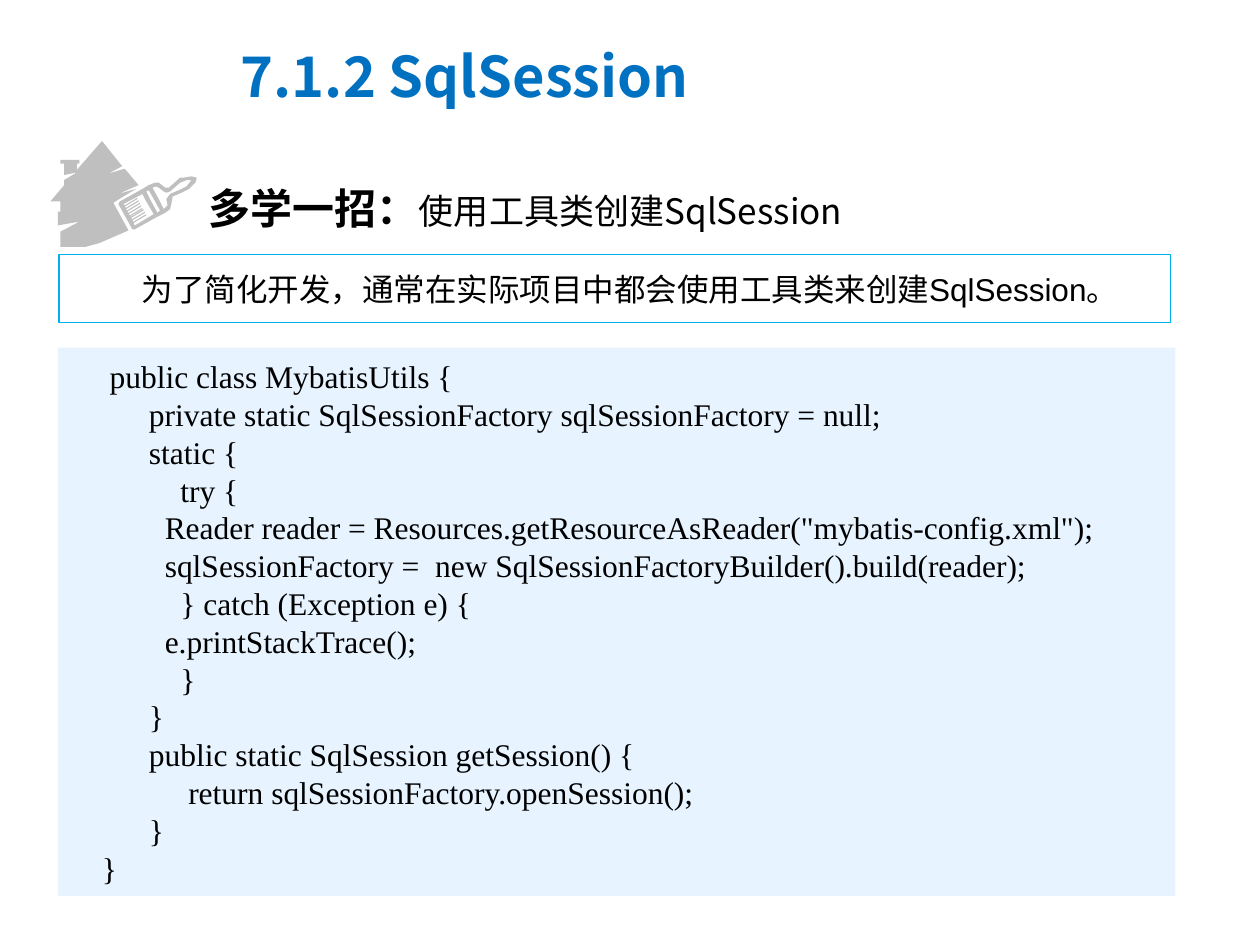
from pptx import Presentation
from pptx.dml.color import RGBColor
from pptx.enum.shapes import MSO_SHAPE as Shape
from pptx.enum.text import MSO_ANCHOR as Anchor, MSO_AUTO_SIZE as AutoSize, PP_ALIGN as Align
from pptx.util import Pt

BLACK = RGBColor(0x00, 0x00, 0x00)
WHITE = RGBColor(0xFF, 0xFF, 0xFF)
TITLE_BLUE = RGBColor(0x00, 0x70, 0xC0)
BORDER_BLUE = RGBColor(0x00, 0xB0, 0xF0)
CODE_BLUE = RGBColor(0xE7, 0xF4, 0xFF)
ICON_GREY = RGBColor(0xBF, 0xBF, 0xBF)
SANS = "Noto Sans CJK SC"

CODE = """\
     public class MybatisUtils {
          private static SqlSessionFactory sqlSessionFactory = null;
          static {
              try {
\t    Reader reader = Resources.getResourceAsReader("mybatis-config.xml");
\t    sqlSessionFactory =  new SqlSessionFactoryBuilder().build(reader);
              } catch (Exception e) {
\t    e.printStackTrace();
              }
          }
          public static SqlSession getSession() {
               return sqlSessionFactory.openSession();
          }
    }"""

# Icon outlines on a grid of 0.72 pt units
ICON_UNIT = Pt(0.72)
HOUSE = [
    (28, 84), (39, 81), (62, 71), (50, 49), (68, 38), (54, 42), (70, 35), (59, 22),
    (46, 26), (57, 20), (41, 0), (21, 23), (21, 18), (23, 18), (23, 15), (8, 15),
    (8, 18), (11, 18), (11, 27), (21, 25), (11, 31), (11, 35), (0, 48), (8, 48),
    (8, 56), (6, 56), (6, 67), (23, 64), (8, 72), (8, 84),
]
BRISTLES = [
    (x - i, y - 1.8 * i)
    for i in range(8)
    for x, y in ((66, 65), (76, 59), (76, 58), (66, 64))
]
BRUSH = [
    (116, 29), (112, 28), (106, 29), (103, 29), (103, 33), (108, 31), (112, 31),
    (108, 36), (104, 38), (95, 42), (92, 46), (93, 51), (90, 54), (86, 46), (82, 46),
    (87, 55), (85, 57), (79, 46), (75, 46), (82, 58), (67, 67),
    *BRISTLES,
    (58, 50), (73, 42), (75, 46), (79, 46), (76, 40), (78, 39), (82, 46), (86, 46),
    (81, 37), (84, 36), (86, 37), (90, 40), (92, 41), (95, 40), (103, 33), (103, 29),
    (94, 37), (91, 37), (86, 33), (83, 33), (78, 35), (73, 38), (55, 48), (54, 50),
    (65, 70), (67, 70), (85, 60), (91, 57), (95, 54), (96, 50), (97, 44), (104, 41),
    (110, 38), (115, 33), (116, 30),
]


def add_text(paragraph, text, *, size, font=SANS, color=BLACK, bold=False):
    run = paragraph.add_run()
    run.text = text
    run.font.size = Pt(size)
    run.font.name = font
    run.font.bold = bold
    run.font.color.rgb = color
    east_asian = run.font._element.makeelement(
        "{http://schemas.openxmlformats.org/drawingml/2006/main}ea", {"typeface": SANS})
    run.font._element.find("{*}latin").addnext(east_asian)


def set_frame(shape, anchor):
    frame = shape.text_frame
    frame.word_wrap = True
    frame.auto_size = AutoSize.NONE
    frame.vertical_anchor = anchor
    frame.paragraphs[0].alignment = Align.LEFT
    return frame


def add_panel(slide, left, top, width, height, fill, line=None):
    panel = slide.shapes.add_shape(
        Shape.RECTANGLE, Pt(left), Pt(top), Pt(width), Pt(height))
    panel.shadow.inherit = False
    panel.fill.solid()
    panel.fill.fore_color.rgb = fill
    if line is None:
        panel.line.fill.background()
    else:
        panel.line.color.rgb = line
        panel.line.width = Pt(0.75)
    return set_frame(panel, Anchor.MIDDLE)


def place_title(slide, left, top, width, height):
    title = slide.shapes.title
    title.left, title.top, title.width, title.height = map(Pt, (left, top, width, height))
    paragraph = set_frame(title, Anchor.TOP).paragraphs[0]
    paragraph.line_spacing = 0.9
    add_text(paragraph, "7.1.2 SqlSession", size=32, color=TITLE_BLUE, bold=True)


def add_icon(slide, left, top):
    for outline in (HOUSE, BRUSH):
        builder = slide.shapes.build_freeform(*outline[0], scale=ICON_UNIT)
        builder.add_line_segments(outline[1:], close=True)
        part = builder.convert_to_shape(Pt(left), Pt(top))
        part.shadow.inherit = False
        part.fill.solid()
        part.fill.fore_color.rgb = ICON_GREY
        part.line.fill.background()


def add_tip_heading(slide, left, top, width, height):
    add_icon(slide, left, top)
    text_left = 83.5
    heading = slide.shapes.add_textbox(
        Pt(left + text_left), Pt(top + 5.8), Pt(width - text_left), Pt(height))
    paragraph = set_frame(heading, Anchor.TOP).paragraphs[0]
    paragraph.line_spacing = 1.5
    add_text(paragraph, "多学一招：", size=24, bold=True)
    add_text(paragraph, "使用工具类创建SqlSession", size=20)


def add_explanation(slide, left, top, width, height):
    frame = add_panel(slide, left, top, width, height, WHITE, BORDER_BLUE)
    paragraph = frame.paragraphs[0]
    paragraph._p.get_or_add_pPr().set("indent", str(Pt(40)))
    add_text(paragraph, "为了简化开发，通常在实际项目中都会使用工具类来创建SqlSession。",
             size=18, font="Arial")


def add_code(slide, left, top, width, height):
    frame = add_panel(slide, left, top, width, height, CODE_BLUE)
    for number, code_line in enumerate(CODE.split("\n")):
        paragraph = frame.add_paragraph() if number else frame.paragraphs[0]
        paragraph.alignment = Align.LEFT
        paragraph.line_spacing = Pt(21.6)
        add_text(paragraph, code_line, size=18, font="Times New Roman")


def main():
    presentation = Presentation()
    presentation.slide_width, presentation.slide_height = Pt(720), Pt(540)
    slide = presentation.slides.add_slide(presentation.slide_layouts[5])
    place_title(slide, 130.3, 24.5, 442.8, 61.2)
    add_explanation(slide, 33.8, 145.5, 635, 39)
    add_code(slide, 33.1, 198.7, 638.6, 313.2)
    add_tip_heading(slide, 28.8, 80.6, 644.4, 50.4)
    presentation.save("out.pptx")


if __name__ == "__main__":
    main()
